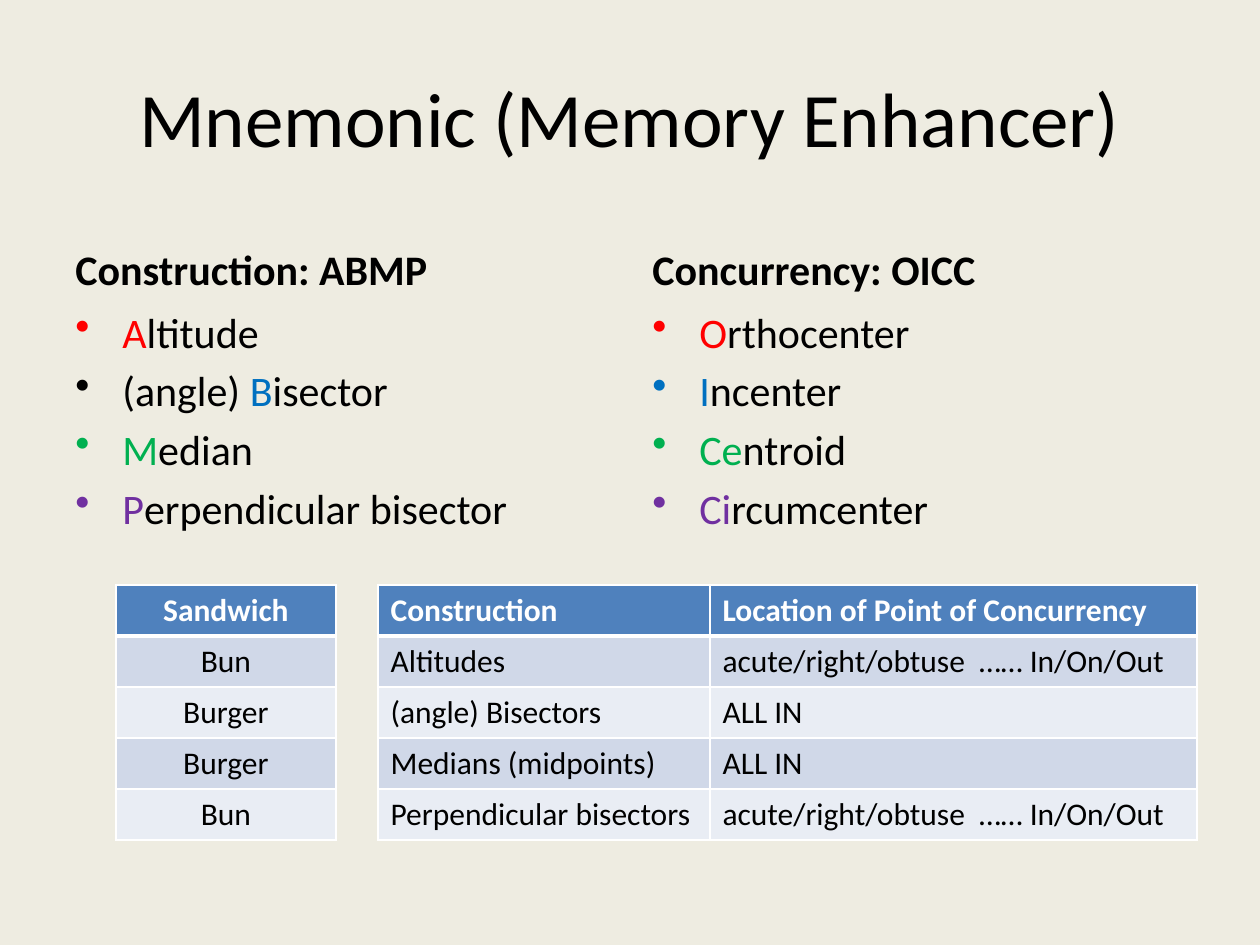
import pptx
import pptx.dml.color
import pptx.enum.text
import pptx.oxml
import pptx.oxml.ns
import pptx.util

PX = 914400 / 126
FONT = "Calibri"
COLORS = {
    "background": "EEECE1",
    "black": "000000",
    "white": "FFFFFF",
    "red": "FF0000",
    "blue": "0070C0",
    "green": "00B050",
    "purple": "7030A0",
    "header": "4F81BD",
    "odd": "D0D8E8",
    "even": "E9EDF4",
}
ALIGN = pptx.enum.text.PP_ALIGN
ANCHOR = pptx.enum.text.MSO_ANCHOR
ROW_HEIGHT = 51

CONSTRUCTIONS = [
    [("A", "red"), ("ltitude", "black")],
    [("(angle) ", "black"), ("B", "blue"), ("isector", "black")],
    [("M", "green"), ("edian", "black")],
    [("P", "purple"), ("erpendicular bisector", "black")],
]
CENTERS = [
    [("O", "red"), ("rthocenter", "black")],
    [("I", "blue"), ("ncenter", "black")],
    [("Ce", "green"), ("ntroid", "black")],
    [("Ci", "purple"), ("rcumcenter", "black")],
]
SANDWICH = [["Sandwich"], ["Bun"], ["Burger"], ["Burger"], ["Bun"]]
LOCATIONS = [
    ["Construction", "Location of Point of Concurrency"],
    ["Altitudes", "acute/right/obtuse  …… In/On/Out"],
    ["(angle) Bisectors", "ALL IN"],
    ["Medians (midpoints)", "ALL IN"],
    ["Perpendicular bisectors", "acute/right/obtuse  …… In/On/Out"],
]


def px(n):
    return pptx.util.Emu(round(n * PX))


def rgb(name):
    return pptx.dml.color.RGBColor.from_string(COLORS[name])


def write(p, runs, size, bold=False, align=ALIGN.LEFT):
    p.alignment = align
    p.font.name = FONT
    p.font.size = pptx.util.Pt(size)
    p.font.bold = bold
    for text, color in runs:
        r = p.add_run()
        r.text = text
        r.font.color.rgb = rgb(color)


def add_text_frame(slide, x, y, w, h, anchor):
    tf = slide.shapes.add_textbox(px(x), px(y), px(w), px(h)).text_frame
    tf.word_wrap = True
    tf.vertical_anchor = anchor
    return tf


def add_bullet(p):
    pPr = p._p.get_or_add_pPr()
    pPr.set("marL", str(px(47)))
    pPr.set("indent", str(-px(47)))
    xml = f'<a:buChar {pptx.oxml.ns.nsdecls("a")} char="•"/>'
    pPr.insert_element_before(pptx.oxml.parse_xml(xml), "a:tabLst", "a:defRPr", "a:extLst")


def add_column(slide, x, heading, items):
    tf = add_text_frame(slide, x, 212, 557, 88, ANCHOR.BOTTOM)
    p = tf.paragraphs[0]
    p.space_before = pptx.util.Pt(4.8)
    write(p, [(heading, "black")], 24, bold=True)
    tf = add_text_frame(slide, x, 300, 557, 267, ANCHOR.TOP)
    for i, runs in enumerate(items):
        p = tf.add_paragraph() if i else tf.paragraphs[0]
        p.space_before = pptx.util.Pt(4.8)
        write(p, runs, 24)
        add_bullet(p)


def set_borders(cell, top, bottom):
    tcPr = cell._tc.get_or_add_tcPr()
    widths = {"lnL": 1, "lnR": 1, "lnT": top, "lnB": bottom}
    for i, (tag, width) in enumerate(widths.items()):
        xml = (
            f'<a:{tag} {pptx.oxml.ns.nsdecls("a")} w="{pptx.util.Pt(width)}">'
            f'<a:solidFill><a:srgbClr val="{COLORS["white"]}"/></a:solidFill></a:{tag}>'
        )
        tcPr.insert(i, pptx.oxml.parse_xml(xml))


def add_table(slide, x, y, widths, rows, align=ALIGN.LEFT):
    frame = slide.shapes.add_table(
        len(rows), len(widths), px(x), px(y), px(sum(widths)), px(ROW_HEIGHT * len(rows))
    )
    table = frame.table
    table.horz_banding = False
    for col, width in zip(table.columns, widths):
        col.width = px(width)
    for i, row in enumerate(rows):
        table.rows[i].height = px(ROW_HEIGHT)
        header = i == 0
        fill = "header" if header else ("even", "odd")[i % 2]
        for j, text in enumerate(row):
            cell = table.cell(i, j)
            cell.fill.solid()
            cell.fill.fore_color.rgb = rgb(fill)
            set_borders(cell, 3 if i == 1 else 1, 3 if header else 1)
            color = "white" if header else "black"
            write(cell.text_frame.paragraphs[0], [(text, color)], 18, header, align)


def main():
    prs = pptx.Presentation()
    prs.slide_width, prs.slide_height = px(1260), px(945)
    s = prs.slides.add_slide(prs.slide_layouts[6])
    s.background.fill.solid()
    s.background.fill.fore_color.rgb = rgb("background")

    title = add_text_frame(s, 63, 38, 1134, 157, ANCHOR.MIDDLE)
    write(title.paragraphs[0], [("Mnemonic (Memory Enhancer)", "black")], 44, align=ALIGN.CENTER)
    add_column(s, 63, "Construction: ABMP", CONSTRUCTIONS)
    add_column(s, 640, "Concurrency: OICC", CENTERS)
    add_table(s, 378, 585, [332, 487], LOCATIONS)
    add_table(s, 116, 585, [220], SANDWICH, ALIGN.CENTER)
    prs.save("out.pptx")


if __name__ == "__main__":
    main()
